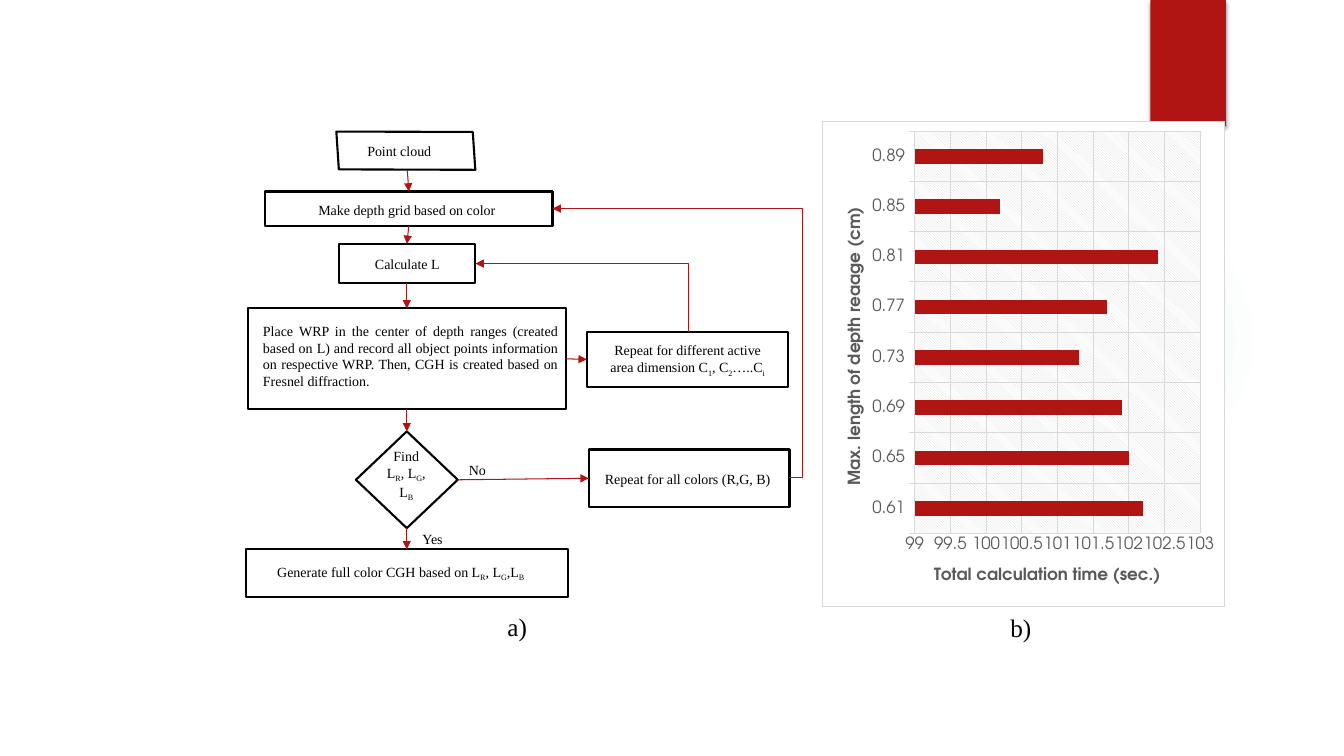
from dataclasses import dataclass
from typing import Optional

from lxml import etree
from pptx import Presentation
from pptx.chart.data import CategoryChartData
from pptx.dml.color import RGBColor
from pptx.enum.chart import XL_CHART_TYPE, XL_TICK_MARK
from pptx.enum.dml import MSO_PATTERN
from pptx.enum.shapes import MSO_CONNECTOR, MSO_SHAPE
from pptx.enum.text import MSO_ANCHOR, PP_ALIGN
from pptx.oxml import parse_xml
from pptx.oxml.ns import nsdecls, qn
from pptx.util import Inches, Pt

PROCESS = MSO_SHAPE.FLOWCHART_PROCESS
DECISION = MSO_SHAPE.FLOWCHART_DECISION
DATA = MSO_SHAPE.FLOWCHART_DATA
CENTER, JUSTIFY = PP_ALIGN.CENTER, PP_ALIGN.JUSTIFY
MIDDLE, TOP = MSO_ANCHOR.MIDDLE, MSO_ANCHOR.TOP
STRAIGHT, ELBOW = MSO_CONNECTOR.STRAIGHT, MSO_CONNECTOR.ELBOW
TOP_SIDE, LEFT_SIDE, BOTTOM_SIDE, RIGHT_SIDE = range(4)
COLORS = {"red": "B01513", "black": "000000", "white": "FFFFFF",
          "grid": "D9D9D9", "axis": "595959", "teal": "50B9C1"}
SERIF, SANS = "Times New Roman", "TeX Gyre Adventor"


@dataclass
class Step:
    key: str
    frame: tuple
    kind: int = PROCESS
    rotation: float = 0


@dataclass
class Label:
    text: str
    frame: tuple
    size: int = 10
    align: int = CENTER
    anchor: int = MIDDLE
    inset: tuple = (0.1, 0.05)


@dataclass
class Arrow:
    start: Optional[str]
    start_side: int
    end: str
    end_side: int
    points: tuple = (0, 0, 0, 0)


STEPS = [
    Step("cloud", (3.79, 0.82, 0.47, 1.35), DATA, 86.2),
    Step("grid", (2.63, 1.9, 2.85, 0.34)),
    Step("calculate", (3.36, 2.42, 1.35, 0.39)),
    Step("place", (2.46, 3.06, 3.15, 1)),
    Step("colors", (5.84, 4.46, 1.99, 0.57)),
    Step("areas", (5.82, 3.29, 2, 0.55)),
    Step("generate", (2.44, 5.45, 3.19, 0.47)),
    Step("find", (3.53, 4.28, 1.01, 0.96), DECISION),
]
LABELS = [
    Label("a)", (2.44, 6.02, 5.38, 0.41), 18, anchor=TOP),
    Label("b)", (8.15, 6.03, 3.95, 0.4), 18, anchor=TOP),
    Label("Point cloud", (3.36, 1.36, 1.2, 0.28)),
    Label("Make depth grid based on color", (2.67, 1.91, 2.73, 0.35)),
    Label("Calculate L", (3.51, 2.44, 1.06, 0.35)),
    Label("Place WRP in the center of depth ranges (created based on L) and record "
          "all object points information on respective WRP. Then, CGH is created "
          "based on Fresnel diffraction.",
          (2.51, 3.09, 3.12, 0.88), align=JUSTIFY, inset=(0.1, 0.1)),
    Label("Repeat for all colors (R,G, B)", (5.88, 4.47, 1.88, 0.57)),
    Label("Repeat for different active area dimension C_1, C_2…..C_i",
          (5.88, 3.35, 1.88, 0.44)),
    Label("Generate full color CGH based on L_R, L_G,L_B", (2.44, 5.51, 3.07, 0.35)),
    Label("Find\nL_R, L_G, L_B", (3.66, 4.48, 0.74, 0.46), inset=(0.15, 0.05)),
    Label("Yes", (4.11, 5.24, 0.36, 0.22), inset=(0, 0)),
    Label("No", (4.57, 4.55, 0.33, 0.22), inset=(0, 0)),
]
ARROWS = [
    Arrow(None, BOTTOM_SIDE, "grid", TOP_SIDE, (4.04, 1.69, 4.04, 1.9)),
    Arrow("grid", BOTTOM_SIDE, "calculate", TOP_SIDE),
    Arrow("calculate", BOTTOM_SIDE, "place", TOP_SIDE),
    Arrow("place", BOTTOM_SIDE, "find", TOP_SIDE),
    Arrow("find", BOTTOM_SIDE, "generate", TOP_SIDE),
    Arrow("place", RIGHT_SIDE, "areas", LEFT_SIDE),
    Arrow("find", RIGHT_SIDE, "colors", LEFT_SIDE),
]
TIMES = {"0.61": 102.2, "0.65": 102, "0.69": 101.9, "0.73": 101.3,
         "0.77": 101.7, "0.81": 102.4, "0.85": 100.2, "0.89": 100.8}


def rgb(name: str) -> RGBColor:
    return RGBColor.from_string(COLORS[name])


def add_decor(slide, kind: int, frame: tuple, effect: str, fill: str = ""):
    decor = slide.shapes.add_shape(kind, *map(Inches, frame))
    decor.shadow.inherit = False
    decor.line.fill.background()
    decor.fill.solid()
    decor.fill.fore_color.rgb = rgb("red")
    properties = decor._element.spPr
    if fill:
        properties.replace(properties.find(qn("a:solidFill")), parse_xml(fill))
    if effect:
        properties.find(qn("a:effectLst")).append(parse_xml(effect))


def add_step(slide, step: Step):
    outline = slide.shapes.add_shape(step.kind, *map(Inches, step.frame))
    outline.rotation = step.rotation
    outline.shadow.inherit = False
    outline.fill.background()
    outline.line.color.rgb = rgb("black")
    outline.line.width = Pt(1.5)
    return outline


def add_label(slide, label: Label):
    frame = slide.shapes.add_textbox(*map(Inches, label.frame)).text_frame
    frame.word_wrap = True
    frame.vertical_anchor = label.anchor
    frame.margin_left = frame.margin_right = Inches(label.inset[0])
    frame.margin_top = frame.margin_bottom = Inches(label.inset[1])
    frame.text = label.text
    for paragraph in frame.paragraphs:
        paragraph.alignment = label.align
        plain, *marked = paragraph.text.split("_")
        paragraph.text = plain
        for piece in marked:
            subscript = paragraph.add_run()
            subscript.text = piece[0]
            subscript.font._element.set("baseline", "-25000")
            if piece[1:]:
                paragraph.add_run().text = piece[1:]
        for run in paragraph.runs:
            run.font.name, run.font.size = SERIF, Pt(label.size)
            run.font.color.rgb = rgb("black")


def add_arrow(slide, kind: int, points: tuple):
    arrow = slide.shapes.add_connector(kind, *map(Inches, points))
    arrow.line.color.rgb = rgb("red")
    arrow.line.width = Pt(0.75)
    etree.SubElement(arrow.line._get_or_add_ln(), qn("a:tailEnd"), type="triangle")
    etree.SubElement(arrow._element.spPr, qn("a:effectLst"))
    return arrow


def set_layout(parent, index: int, **places: float):
    for old in parent.findall(qn("c:layout")):
        parent.remove(old)
    target = '<c:layoutTarget val="inner"/>' if "w" in places else ""
    modes = '<c:xMode val="edge"/><c:yMode val="edge"/>'
    values = "".join(f'<c:{key} val="{value}"/>' for key, value in places.items())
    parent.insert(index, parse_xml(
        f'<c:layout {nsdecls("c")}><c:manualLayout>{target}{modes}{values}'
        "</c:manualLayout></c:layout>"))


def style_axis(axis, title: str, turn: str, x: float, y: float):
    axis.has_major_gridlines = True
    axis.major_gridlines.format.line.color.rgb = rgb("grid")
    axis.major_gridlines.format.line.width = Pt(0.75)
    axis.axis_title.text_frame.text = title
    title_font = axis.axis_title.text_frame.paragraphs[0].runs[0].font
    title_font.bold = True
    for font in (title_font, axis.tick_labels.font):
        font.name, font.size = SANS, Pt(12)
        font.color.rgb = rgb("axis")
    title_element = axis.axis_title._element
    title_element.find(".//" + qn("a:bodyPr")).set("rot", turn)
    set_layout(title_element, 1, x=x, y=y)


def add_time_chart(slide):
    data = CategoryChartData()
    data.categories = list(TIMES)
    data.add_series("Series 1", list(TIMES.values()))
    chart = slide.shapes.add_chart(XL_CHART_TYPE.BAR_CLUSTERED,
                                   *map(Inches, (8.15, 1.2, 4, 4.82)), data).chart
    chart.has_legend = chart.has_title = False
    chart.font.name, chart.font.size = SANS, Pt(10)
    plot = chart.plots[0]
    plot.gap_width, plot.vary_by_categories = 247, False
    bars = plot.series[0].format.fill
    bars.solid()
    bars.fore_color.rgb = rgb("red")
    depth, time = chart.category_axis, chart.value_axis
    style_axis(depth, "Max. length of depth reaage (cm)", "-5400000", 0.05, 0.17)
    style_axis(time, "Total calculation time (sec.)", "0", 0.27, 0.91)
    depth.major_tick_mark = XL_TICK_MARK.OUTSIDE
    depth.format.line.color.rgb = rgb("grid")
    depth.format.line.width = Pt(0.75)
    time.minimum_scale, time.maximum_scale, time.major_unit = 99, 103, 0.5
    time.major_tick_mark = XL_TICK_MARK.NONE
    time.format.line.fill.background()
    time.tick_labels.number_format = "General"
    time.tick_labels.number_format_is_linked = False
    time._element.find(qn("c:txPr")).find(qn("a:bodyPr")).set("rot", "-60000000")
    root = chart._chartSpace
    area = root.find(".//" + qn("c:plotArea"))
    set_layout(area, 0, x=0.23, y=0.02, w=0.71, h=0.83)
    solid = '<a:solidFill><a:srgbClr val="{}"/></a:solidFill>'
    root.find(qn("c:chart")).addnext(parse_xml(
        f'<c:spPr {nsdecls("c", "a")}>{solid.format(COLORS["white"])}'
        f'<a:ln w="9525">{solid.format(COLORS["grid"])}</a:ln></c:spPr>'))
    area.append(parse_xml(
        f'<c:spPr {nsdecls("c", "a")}><a:pattFill prst="{MSO_PATTERN.to_xml(MSO_PATTERN.LIGHT_DOWNWARD_DIAGONAL)}">'
        f'<a:fgClr><a:srgbClr val="{COLORS["grid"]}"/></a:fgClr>'
        f'<a:bgClr><a:srgbClr val="{COLORS["white"]}"/></a:bgClr></a:pattFill></c:spPr>'))


def main():
    deck = Presentation()
    deck.slide_width, deck.slide_height = Inches(13.33), Inches(7.5)
    slide = deck.slides.add_slide(deck.slide_layouts[6])
    stops = "".join(f'<a:gs pos="{at}000"><a:srgbClr val="{COLORS["teal"]}">'
                    f'<a:alpha val="{alpha}000"/></a:srgbClr></a:gs>'
                    for at, alpha in ((0, 7), (36, 6), (69, 0)))
    add_decor(slide, MSO_SHAPE.OVAL, (9.41, 1.83, 3.08, 3.08), "",
              f'<a:gradFill {nsdecls("a")}><a:gsLst>{stops}</a:gsLst><a:path path="circle">'
              '<a:fillToRect l="50000" t="50000" r="50000" b="50000"/></a:path></a:gradFill>')
    add_decor(slide, MSO_SHAPE.RECTANGLE, (11.41, 0, 0.75, 1.25),
              f'<a:outerShdw {nsdecls("a")} blurRad="38100" dist="25400" dir="5400000">'
              f'<a:srgbClr val="{COLORS["black"]}"><a:alpha val="45000"/></a:srgbClr></a:outerShdw>')
    add_time_chart(slide)
    steps = {step.key: add_step(slide, step) for step in STEPS}
    for label in LABELS:
        add_label(slide, label)
    for arrow in ARROWS:
        line = add_arrow(slide, STRAIGHT, arrow.points)
        if arrow.start:
            line.begin_connect(steps[arrow.start], arrow.start_side)
        line.end_connect(steps[arrow.end], arrow.end_side)
    color_loop = add_arrow(slide, ELBOW, (7.83, 4.74, 5.48, 2.07))
    guides = color_loop._element.spPr.find(qn("a:prstGeom")).find(qn("a:avLst"))
    etree.SubElement(guides, qn("a:gd"), name="adj1", fmla="val -5700")
    area_loop = add_arrow(slide, ELBOW, (5.43, 4.01, 6.11, 1.9))
    area_loop._element.spPr.find(qn("a:prstGeom")).set("prst", "bentConnector2")
    area_loop._element.spPr.find(qn("a:xfrm")).set("rot", "16200000")
    deck.save("out.pptx")


if __name__ == "__main__":
    main()
